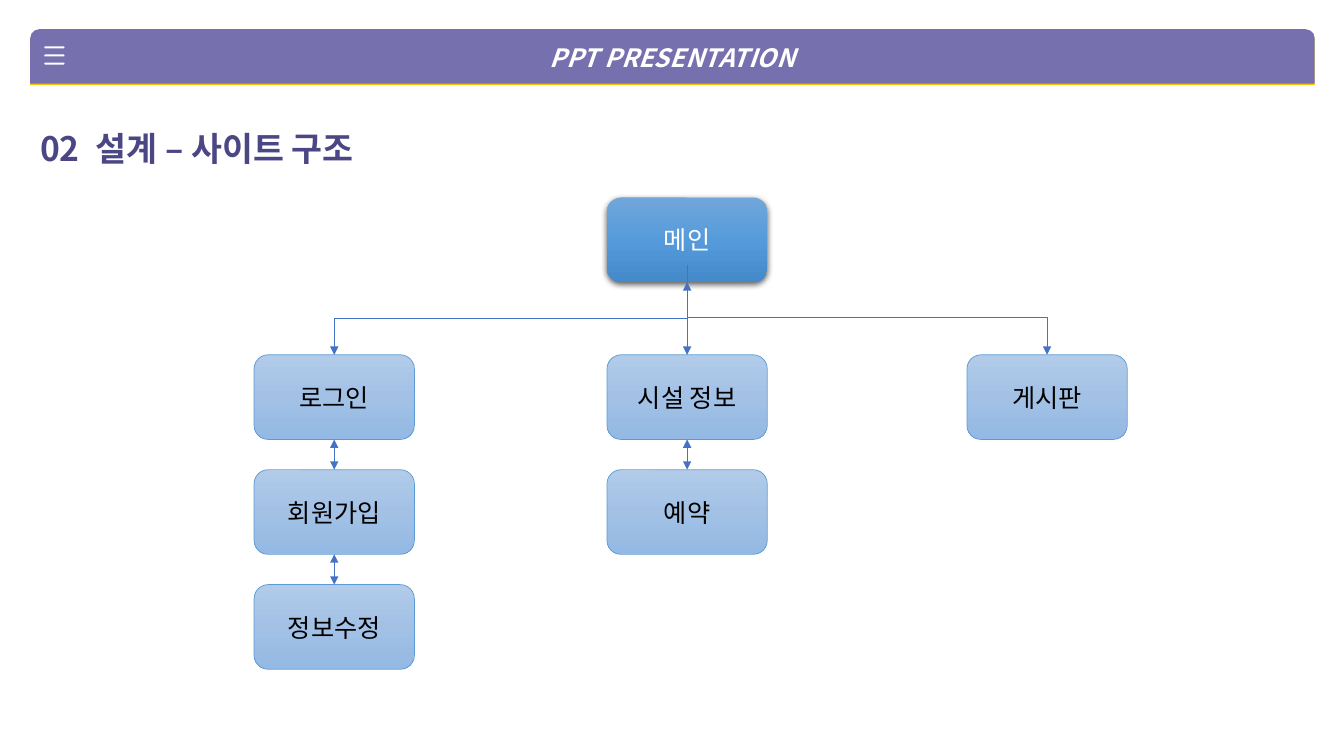
import copy

import pptx
import pptx.util
import pptx.dml.color
import pptx.enum.dml
import pptx.enum.shapes
import pptx.enum.text
import pptx.oxml
import pptx.oxml.ns

Inches, Pt = pptx.util.Inches, pptx.util.Pt
RGB = pptx.dml.color.RGBColor.from_string
SHAPE = pptx.enum.shapes.MSO_SHAPE
CONNECTOR = pptx.enum.shapes.MSO_CONNECTOR
ALIGN = pptx.enum.text.PP_ALIGN
qn = pptx.oxml.ns.qn
NS = pptx.oxml.ns.nsdecls("a")

THEME = {
    "font": "Noto Sans CJK KR",
    "banner": "7670AE", "accent": "FFC000", "white": "FFFFFF",
    "heading": "4B4784", "black": "000000",
    "root_fill": ("71A6DB", "559BDB", "448ACA"),
    "page_fill": ("B1CBE9", "A3C1E5", "93B9E4"),
    "page_line": "5B9BD5", "link": "4472C4",
    "body_size": 18, "heading_size": 24, "hairline": 0.5,
}

# Site map grid
COLUMNS = (2.52, 6.02, 9.59)
BOX_W, BOX_H = 1.59, 0.84
ROOT_TOP, FIRST_ROW, ROW_PITCH = 1.96, 3.52, 1.14
ROOT_COLUMN = 1
BRANCHES = (("로그인", "회원가입", "정보수정"), ("시설 정보", "예약"), ("게시판",))


def add_run(p, text, color, size=THEME["body_size"], spacing=0, **style):
    r = p.add_run()
    r.text = text
    for name, value in {"name": THEME["font"], "size": Pt(size), **style}.items():
        setattr(r.font, name, value)
    r.font.color.rgb = RGB(color)
    rPr = r._r.get_or_add_rPr()
    if spacing:
        rPr.set("spc", str(spacing * 100))
    rPr.append(pptx.oxml.parse_xml(f'<a:ea {NS} typeface="{THEME["font"]}"/>'))


def add_plain(slide, kind, box, fill=None):
    s = slide.shapes.add_shape(kind, *map(Inches, box))
    s.shadow.inherit = False
    s.line.fill.background()
    if fill:
        s.fill.solid()
        s.fill.fore_color.rgb = RGB(fill)
    return s


def center_text(s, text, color, **style):
    tf = s.text_frame
    tf.word_wrap = True
    tf.vertical_anchor = pptx.enum.text.MSO_ANCHOR.MIDDLE
    p = tf.paragraphs[0]
    p.alignment = ALIGN.CENTER
    add_run(p, text, color, **style)


def drop_shadow(s, color, opacity, blur, distance):
    effects = s._element.spPr.find(qn("a:effectLst"))
    effects.append(pptx.oxml.parse_xml(
        f'<a:outerShdw {NS} blurRad="{Pt(blur)}" dist="{Pt(distance)}" dir="5400000" '
        f'algn="t" rotWithShape="0"><a:srgbClr val="{color}">'
        f'<a:alpha val="{opacity * 1000}"/></a:srgbClr></a:outerShdw>'))


def fill_gradient(s, colors):
    """Fill from top to bottom with evenly spaced colours."""
    s.fill.gradient()
    s.fill.gradient_angle = 270
    stops = s._element.spPr.find(qn("a:gradFill")).find(qn("a:gsLst"))
    stops.append(copy.deepcopy(stops[0]))
    for i, (stop, color) in enumerate(zip(s.fill.gradient_stops, colors)):
        stop.position = i / (len(colors) - 1)
        stop.color.rgb = RGB(color)


def add_banner(slide, box):
    x, y, w, h = box
    s = add_plain(slide, SHAPE.ROUND_2_SAME_RECTANGLE, box, THEME["banner"])
    drop_shadow(s, THEME["accent"], 100, 0, 1)
    center_text(s, "PPT PRESENTATION", THEME["white"], bold=True, italic=True)
    for i in range(3):
        bar = add_plain(slide, SHAPE.ROUNDED_RECTANGLE,
                        (x + 0.14, y + 0.17 + i * 0.08, 0.2, 0.02), THEME["white"])
        bar.adjustments[0] = 0.5


def add_heading(slide, box):
    tf = slide.shapes.add_textbox(*map(Inches, box)).text_frame
    tf.word_wrap = True
    tf.auto_size = pptx.enum.text.MSO_AUTO_SIZE.SHAPE_TO_FIT_TEXT
    for text, spacing in (("02", 0), (" ", 6), ("설계 – 사이트 구조", 0)):
        add_run(tf.paragraphs[0], text, THEME["heading"], THEME["heading_size"],
                spacing, bold=True)


def add_page_box(slide, x, y, text, root=False):
    s = add_plain(slide, SHAPE.ROUNDED_RECTANGLE, (x, y, BOX_W, BOX_H))
    fill_gradient(s, THEME["root_fill" if root else "page_fill"])
    if root:
        drop_shadow(s, THEME["black"], 63, 4.5, 1.5)
    else:
        s.line.color.rgb = RGB(THEME["page_line"])
        s.line.width = Pt(THEME["hairline"])
    center_text(s, text, THEME["white" if root else "black"])


def add_link(slide, start, end, kind=CONNECTOR.STRAIGHT, both=False):
    c = slide.shapes.add_connector(kind, *map(Inches, (*start, *end)))
    c.line.color.rgb = RGB(THEME["link"])
    c.line.width = Pt(THEME["hairline"])
    for tag in ("headEnd", "tailEnd") if both else ("tailEnd",):
        c.line._get_or_add_ln().append(
            pptx.oxml.parse_xml(f'<a:{tag} {NS} type="triangle"/>'))
    c._element.spPr.append(pptx.oxml.parse_xml(f"<a:effectLst {NS}/>"))
    return c


def add_down_elbow(slide, start, end):
    """Go down, left and down again: a horizontal elbow turned a quarter."""
    (x1, y1), (x2, y2) = start, end
    cx, cy = (x1 + x2) / 2, (y1 + y2) / 2
    half_w, half_h = (y2 - y1) / 2, (x1 - x2) / 2
    c = add_link(slide, (cx - half_w, cy - half_h), (cx + half_w, cy + half_h),
                 CONNECTOR.ELBOW)
    c._element.spPr.find(qn("a:xfrm")).set("rot", "5400000")


def add_corner(slide, start, end):
    """Go right, then down."""
    c = add_link(slide, start, end, CONNECTOR.ELBOW)
    c._element.spPr.find(qn("a:prstGeom")).set("prst", "bentConnector2")


def add_site_map(slide):
    add_page_box(slide, COLUMNS[ROOT_COLUMN], ROOT_TOP, "메인", root=True)
    for x, pages in zip(COLUMNS, BRANCHES):
        for row, page in enumerate(pages):
            add_page_box(slide, x, FIRST_ROW + row * ROW_PITCH, page)

    left, middle, right = (x + BOX_W / 2 for x in COLUMNS)
    root_bottom = ROOT_TOP + BOX_H
    add_down_elbow(slide, (middle, root_bottom), (left, FIRST_ROW))
    add_link(slide, (middle, root_bottom - 0.17), (middle, FIRST_ROW))
    add_corner(slide, (middle, root_bottom + 0.35), (right, FIRST_ROW))
    add_link(slide, (middle, root_bottom + 0.42), (middle, root_bottom))

    for x, pages in zip((left, middle, right), BRANCHES):
        for row in range(1, len(pages)):
            y = FIRST_ROW + row * ROW_PITCH
            add_link(slide, (x, y - ROW_PITCH + BOX_H), (x, y), both=True)


def main():
    prs = pptx.Presentation()
    prs.slide_width, prs.slide_height = Inches(13.33), Inches(7.5)
    slide = prs.slides.add_slide(prs.slide_layouts[6])
    add_banner(slide, (0.3, 0.29, 12.74, 0.54))
    add_heading(slide, (0.3, 1.22, 3.66, 0.5))
    add_site_map(slide)
    prs.save("out.pptx")


if __name__ == "__main__":
    main()
